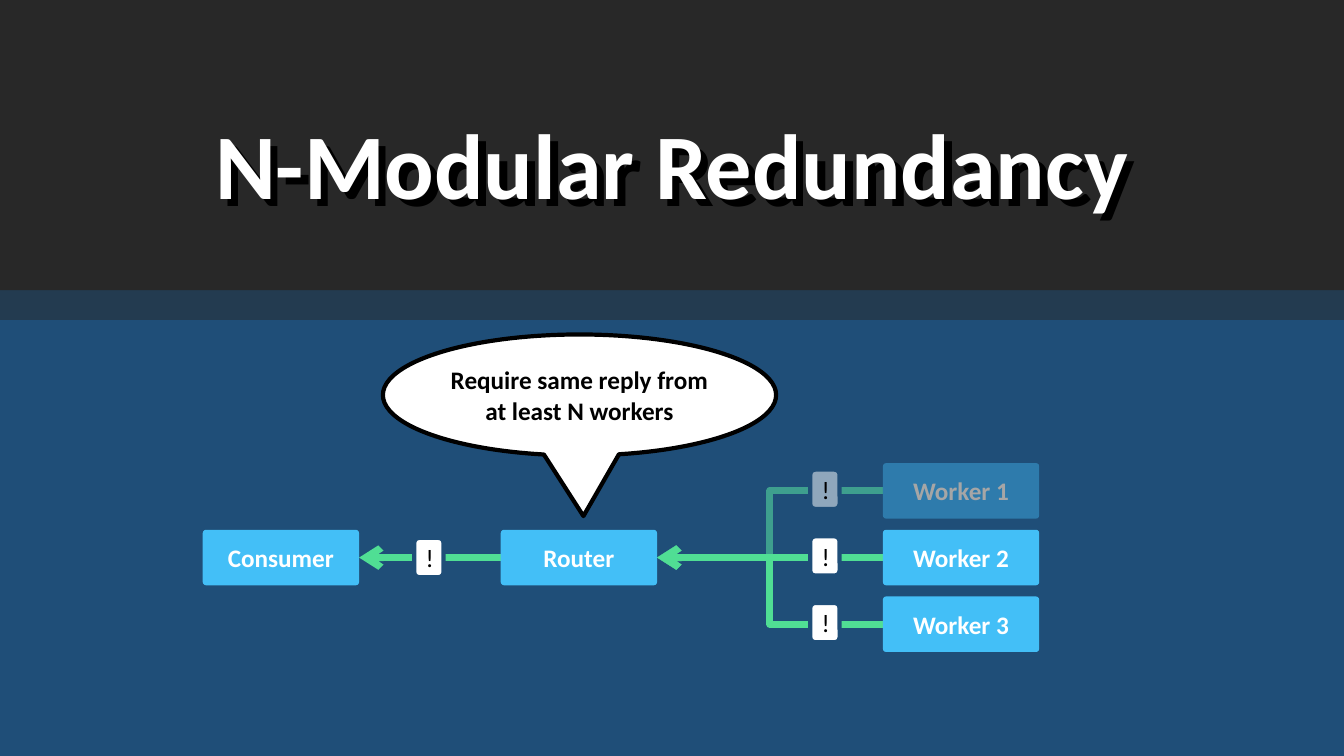
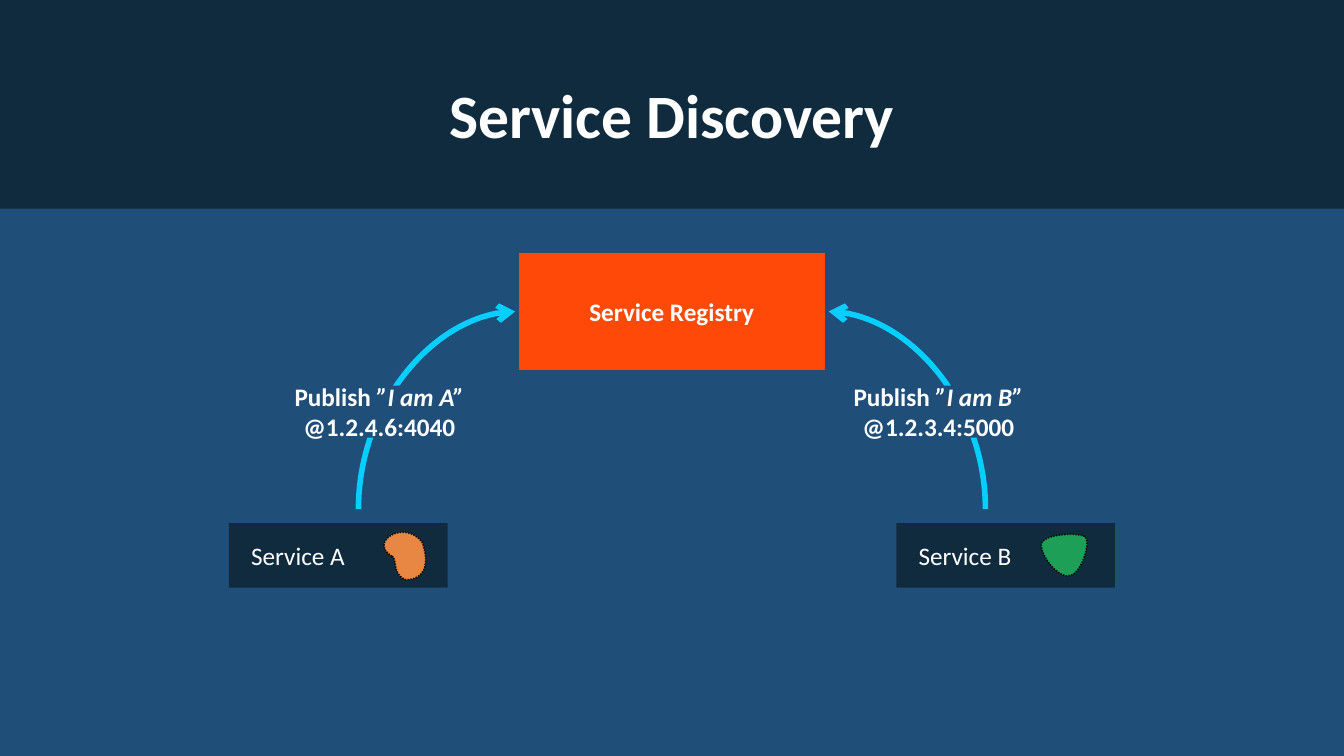
from pptx import Presentation
from pptx.dml.color import RGBColor as Rgb
from pptx.enum.dml import MSO_LINE as Dash
from pptx.enum.shapes import MSO_CONNECTOR as Link, MSO_SHAPE as Kind
from pptx.enum.text import MSO_ANCHOR as Anchor, PP_ALIGN as Align
from pptx.oxml.ns import qn
from pptx.util import Cm, Pt
from lxml.etree import SubElement as Sub

WHITE = Rgb(0xFF, 0xFF, 0xFF)
BLACK = Rgb(0, 0, 0)
BLUE = Rgb(0x1F, 0x4E, 0x78)
NAVY = Rgb(0x10, 0x2B, 0x3E)
COAL = Rgb(0x28, 0x28, 0x28)
STEEL = Rgb(0x23, 0x3B, 0x50)
SKY = Rgb(0x43, 0xBF, 0xF7)
DIM_SKY = Rgb(0x2E, 0x7B, 0xAC)
GREEN = Rgb(0x50, 0xDE, 0x94)
DIM_GREEN = Rgb(0x3E, 0x9F, 0x8E)
GREY = Rgb(0xA6, 0xA6, 0xA6)
MIST = Rgb(0x8F, 0xA7, 0xBC)
CYAN = Rgb(0x05, 0xCF, 0xFF)
RED = Rgb(0xFF, 0x49, 0x09)
AMBER = Rgb(0xE8, 0x87, 0x44)
LEAF = Rgb(0x1D, 0x9F, 0x58)

FONT = "Calibri"
WIDE, HIGH = 33.87, 19.05
NODE_W, NODE_H = 3.94, 1.4
MARK_W, MARK_H = 0.74, 0.99
ROW_MID, ROW_GAP = 14.05, 1.68
CARD_W, CARD_H = 5.51, 1.63


def new_slide(deck):
    slide = deck.slides.add_slide(deck.slide_layouts[6])
    fill = slide.background.fill
    fill.solid()
    fill.fore_color.rgb = BLUE
    return slide


def style(para, color, size=18, bold=True, align=Align.CENTER):
    para.alignment = align
    font = para.font
    font.name, font.size, font.bold = FONT, Pt(size), bold
    font.color.rgb = color


def paint(shape, fill, line=None, width=3):
    shape.shadow.inherit = False
    shape.fill.solid()
    shape.fill.fore_color.rgb = fill
    if line is None:
        shape.line.fill.background()
    else:
        shape.line.color.rgb = line
        shape.line.width = Pt(width)


def box(slide, kind, left, top, width, height, fill, line=None, size=3):
    shape = slide.shapes.add_shape(kind, Cm(left), Cm(top), Cm(width), Cm(height))
    paint(shape, fill, line, size)
    shape.text_frame.vertical_anchor = Anchor.MIDDLE
    return shape


def write(shape, text, color, **look):
    para = shape.text_frame.paragraphs[0]
    para.text = text
    style(para, color, **look)


def band(slide, top, height, fill):
    box(slide, Kind.RECTANGLE, 0, top, WIDE, height, fill)


def title(slide, text, top, height, size):
    area = slide.shapes.add_textbox(0, Cm(top), Cm(WIDE), Cm(height))
    area.text_frame.word_wrap = True
    area.text_frame.vertical_anchor = Anchor.MIDDLE
    write(area, text, WHITE, size=size)
    return area


def cast(shape):
    effect = Sub(shape._element.spPr, qn("a:effectLst"))
    shade = Sub(effect, qn("a:outerShdw"), dist=str(Cm(0.25)), dir="2400000", algn="tl")
    Sub(shade, qn("a:srgbClr"), val=str(BLACK))


def link(slide, kind, start, end, color, width, form=None):
    line = slide.shapes.add_connector(kind, *map(Cm, start + end))
    line.line.color.rgb = color
    line.line.width = Pt(width)
    props = line._element.spPr
    if form:
        props.find(qn("a:prstGeom")).set("prst", form)
    Sub(line.line._get_or_add_ln(), qn("a:headEnd"), type="arrow")
    Sub(props, qn("a:effectLst"))


def node(slide, text, left, mid, fill=SKY, color=WHITE):
    shape = box(slide, Kind.ROUNDED_RECTANGLE, left, mid - NODE_H / 2, NODE_W, NODE_H, fill)
    shape.adjustments[0] = 0.06
    write(shape, text, color)


def mark(slide, left, mid, fill=WHITE):
    shape = box(slide, Kind.ROUNDED_RECTANGLE, left, mid - MARK_H / 2, MARK_W, MARK_H, fill, BLUE)
    write(shape, "!", BLACK, bold=False)


def label(slide, left, width, quote, host):
    frame = box(slide, Kind.RECTANGLE, left, 9.72, width, 1.31, BLUE).text_frame
    first, last = frame.paragraphs[0], frame.add_paragraph()
    first.add_run().text = "Publish "
    said = first.add_run()
    said.text, said.font.italic = quote, True
    last.text = host
    for para in (first, last):
        style(para, WHITE)


def card(slide, text, left):
    shape = box(slide, Kind.RECTANGLE, left, 13.18, CARD_W, CARD_H, NAVY)
    shape.text_frame.margin_left = Cm(0.56)
    write(shape, text, WHITE, bold=False, align=Align.LEFT)


def bezier(ends, steps=16):
    for step in range(1, steps + 1):
        t = step / steps
        u = 1 - t
        parts = (u ** 3, 3 * u * u * t, 3 * u * t * t, t ** 3)
        yield tuple(sum(p * end[axis] for p, end in zip(parts, ends)) for axis in (0, 1))


def blob(slide, knots, fill):
    dots = []
    for at in range(0, len(knots) - 1, 3):
        dots += bezier(knots[at:at + 4])
    pen = slide.shapes.build_freeform(*map(Cm, knots[0]))
    pen.add_line_segments([(Cm(x), Cm(y)) for x, y in dots], close=True)
    shape = pen.convert_to_shape()
    paint(shape, fill, BLACK, 1)
    shape.line.dash_style = Dash.ROUND_DOT


def modular(deck):
    slide = new_slide(deck)
    band(slide, 7.32, 0.74, STEEL)
    band(slide, 0, 7.32, COAL)
    cast(title(slide, "N-Modular Redundancy", 2.57, 3.07, 66))

    user, router, worker = 5.11, 12.62, 22.25
    rows = [ROW_MID + step * ROW_GAP for step in (-1, 0, 1)]
    hub = (router + NODE_W, ROW_MID)
    link(slide, Link.ELBOW, hub, (worker, rows[2]), GREEN, 5)
    link(slide, Link.ELBOW, hub, (worker, rows[0]), DIM_GREEN, 5)
    link(slide, Link.STRAIGHT, hub, (worker, ROW_MID), GREEN, 5)
    link(slide, Link.STRAIGHT, (user + NODE_W, ROW_MID), (router, ROW_MID), GREEN, 5)

    looks = [(MIST, DIM_SKY, GREY)] + [(WHITE, SKY, WHITE)] * 2
    for count, (mid, (tag, fill, color)) in enumerate(zip(rows, looks), 1):
        mark(slide, 20.42, mid - 0.04, tag)
        node(slide, f"Worker {count}", worker, mid, fill, color)
    mark(slide, 10.44, ROW_MID)
    node(slide, "Router", router, ROW_MID)
    node(slide, "Consumer", user, ROW_MID)

    speech = box(slide, Kind.OVAL_CALLOUT, 9.65, 8.43, 9.91, 3.05, WHITE, BLACK)
    speech.adjustments[0], speech.adjustments[1] = 0.01, 1
    write(speech, "Require same reply from at least N workers", BLACK)


def service(deck):
    slide = new_slide(deck)
    band(slide, 0, 5.26, NAVY)
    title(slide, "Service Discovery", 1.02, 3.68, 44)
    core = box(slide, Kind.RECTANGLE, 12.98, 6.27, 7.9, 3.15, RED, BLUE, 5.5)
    write(core, "Service Registry", WHITE)

    mid = WIDE / 2
    for side in (-1, 1):
        start, end = (mid + side * 3.95, 7.85), (mid + side * 7.9, 12.83)
        link(slide, Link.CURVE, start, end, CYAN, 4, "curvedConnector2")
    label(slide, 6.32, 6.48, "”I am A”", "@1.2.4.6:4040")
    label(slide, 20.88, 5.54, "”I am B”", "@1.2.3.4:5000")

    card(slide, "Service A", 5.77)
    card(slide, "Service B", WIDE - 5.77 - CARD_W)
    blob(slide, [(9.88, 14.02), (9.27, 13.64), (10.21, 13.08), (10.64, 13.67),
                 (10.74, 13.94), (10.87, 14.58), (10.24, 14.61),
                 (9.88, 14.5), (10.01, 14.05), (9.88, 14.02)], AMBER)
    blob(slide, [(27.36, 13.54), (27.48, 13.74), (27.23, 14.48), (26.95, 14.5),
                 (26.72, 14.58), (26.26, 14.1), (26.24, 13.72),
                 (26.29, 13.44), (27.23, 13.41), (27.36, 13.54)], LEAF)


def main():
    deck = Presentation()
    deck.slide_width, deck.slide_height = Cm(WIDE), Cm(HIGH)
    modular(deck)
    service(deck)
    deck.save("out.pptx")


if __name__ == "__main__":
    main()
